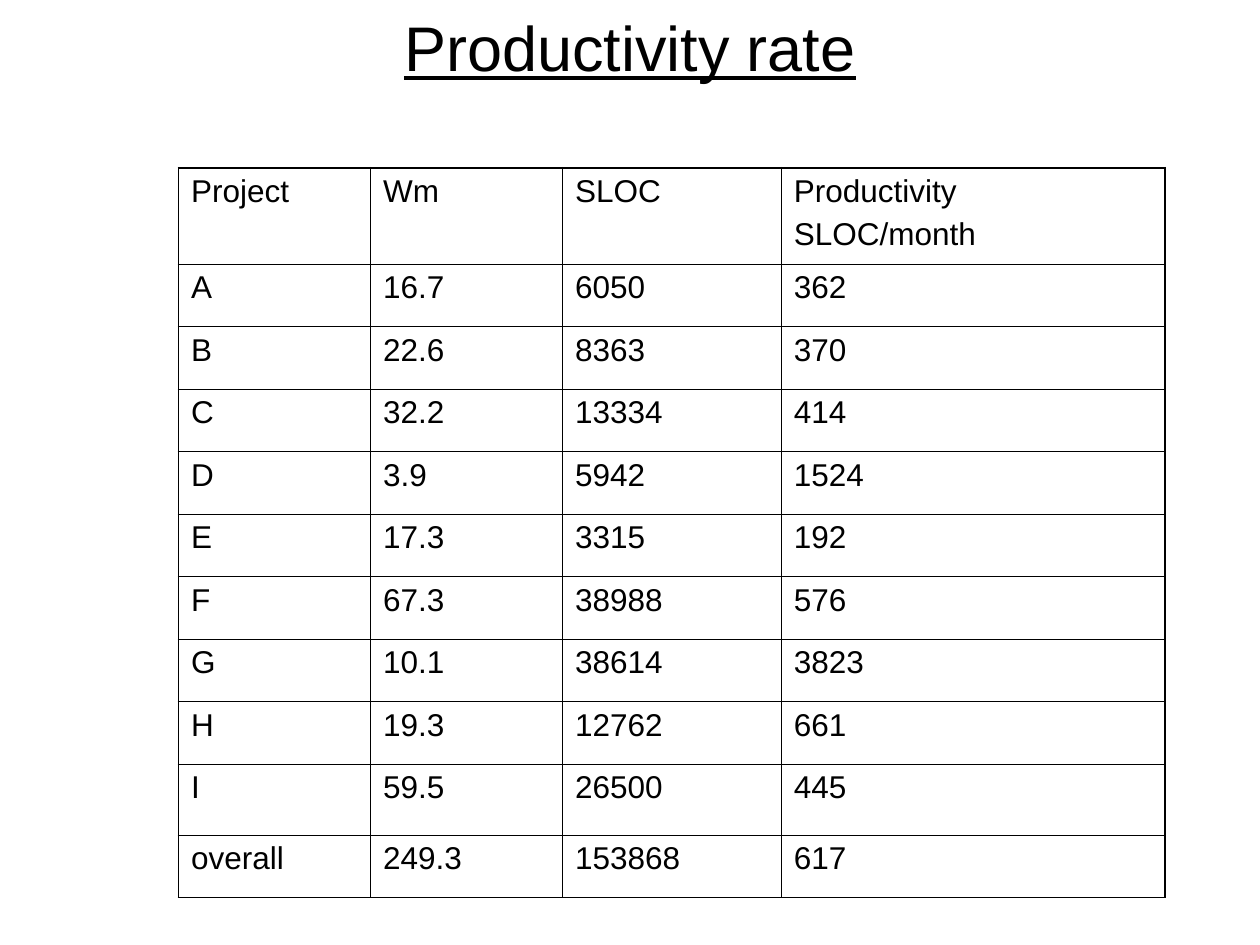
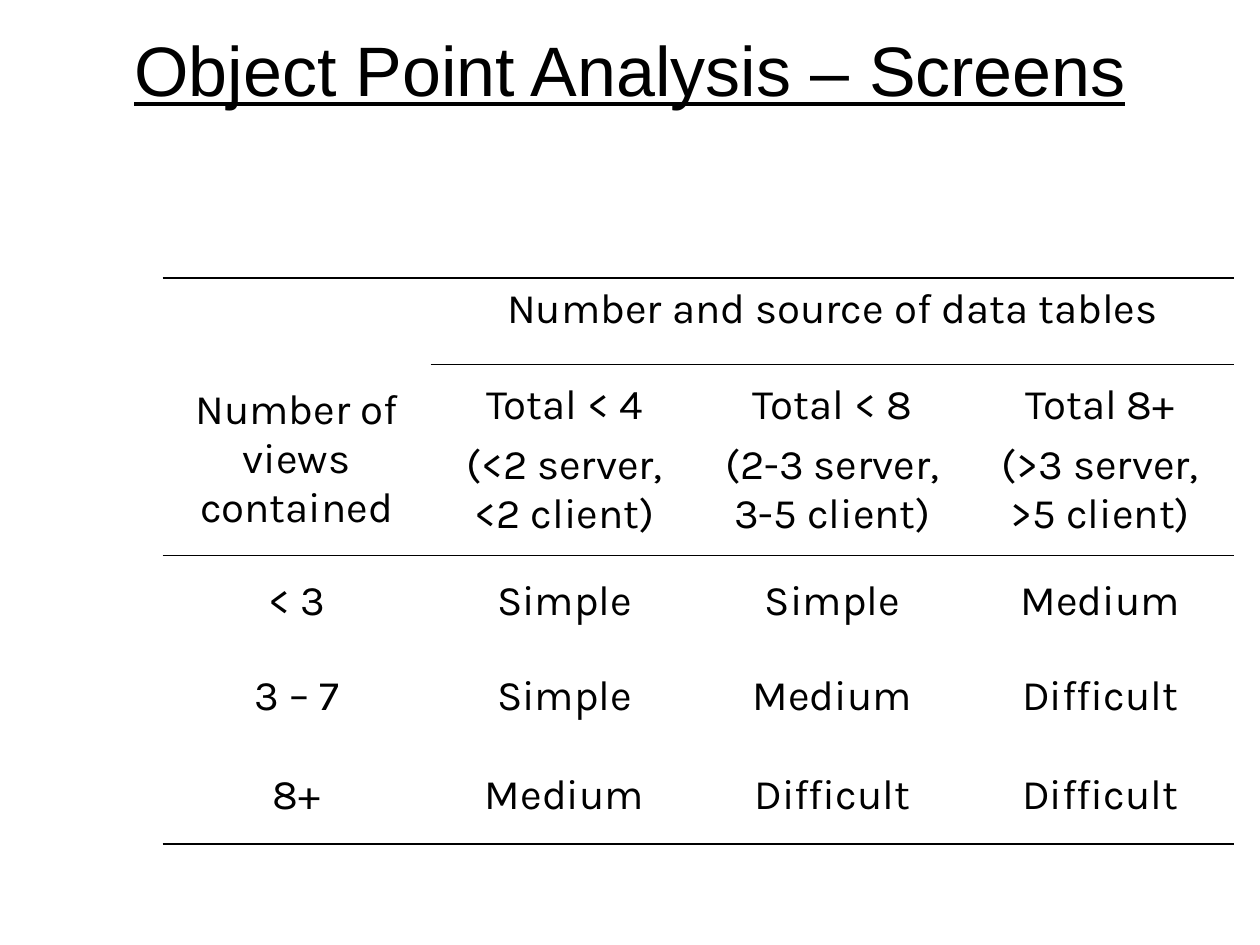
from dataclasses import dataclass
from typing import Callable

from lxml import etree
from pptx import Presentation
from pptx import util as u
from pptx.dml.color import RGBColor
from pptx.enum import text
from pptx.oxml.ns import qn

BLACK = RGBColor(0x00, 0x00, 0x00)
TITLE_FONT = "Arial"
THICK, THIN = 1.08, 0.45  # rule widths in points

# Cell sides mapped to border widths; sides left out have no line
Borders = dict[str, float]


@dataclass
class Title:
    wording: str
    height: float
    size: int


@dataclass
class Grid:
    left: float
    top: float
    columns: list[float]
    heights: list[float]
    rows: list[list[str]]
    font: str
    size: int
    gap: float
    align: text.PP_ALIGN
    body_anchor: text.MSO_ANCHOR
    borders: Callable[[int, int], Borders]
    merges: tuple[tuple[int, int, int, int], ...] = ()


def boxed(row: int, col: int) -> Borders:
    """Thin lines everywhere, thick ones round the outside."""
    return {
        "L": THICK if col == 0 else THIN,
        "R": THICK if col == 3 else THIN,
        "T": THICK if row == 0 else THIN,
        "B": THICK if row == 10 else THIN,
    }


def ruled(row: int, col: int) -> Borders:
    """Horizontal rules only; the first runs under the spanning heading."""
    rules = {0: THICK, 2: THIN, 5: THICK}
    if col > 0:
        rules[1] = THIN
    sides = {"T": row, "B": row + 1}
    return {side: rules[edge] for side, edge in sides.items() if edge in rules}


def style_paragraph(paragraph, align: text.PP_ALIGN, **font_values) -> None:
    paragraph.alignment = align
    for name, value in font_values.items():
        setattr(paragraph.font, name, value)
    paragraph.font.color.rgb = BLACK


def draw_borders(cell, borders: Borders) -> None:
    properties = cell._tc.get_or_add_tcPr()
    for position, side in enumerate("LRTB"):
        line = etree.Element(qn(f"a:ln{side}"))
        if side in borders:
            line.set("w", str(u.Pt(borders[side])))
            fill = etree.SubElement(line, qn("a:solidFill"))
            etree.SubElement(fill, qn("a:srgbClr"), val=str(BLACK))
        else:
            etree.SubElement(line, qn("a:noFill"))
        properties.insert(position, line)


def draw_title(slide, title: Title) -> None:
    heading = slide.shapes.add_textbox(
        u.Cm(1.27), u.Cm(0.23), u.Cm(22.86), u.Cm(title.height))
    frame = heading.text_frame
    frame_format = {
        "word_wrap": True,
        "vertical_anchor": text.MSO_ANCHOR.MIDDLE,
        "margin_top": u.Cm(0.2),
        "margin_bottom": 0,
    }
    for name, value in frame_format.items():
        setattr(frame, name, value)
    frame.text = title.wording
    style_paragraph(frame.paragraphs[0], text.PP_ALIGN.CENTER,
                    name=TITLE_FONT, size=u.Pt(title.size), underline=True)


def draw_grid(slide, grid: Grid) -> None:
    table = slide.shapes.add_table(
        len(grid.heights), len(grid.columns), u.Cm(grid.left), u.Cm(grid.top),
        u.Cm(sum(grid.columns)), u.Cm(sum(grid.heights))).table
    table.first_row = table.horz_banding = False
    for column, width in zip(table.columns, grid.columns):
        column.width = u.Cm(width)
    for row, height in zip(table.rows, grid.heights):
        row.height = u.Cm(height)
    for top, left, bottom, right in grid.merges:
        table.cell(top, left).merge(table.cell(bottom, right))

    for r, entries in enumerate(grid.rows):
        for c, entry in enumerate(entries):
            cell = table.cell(r, c)
            cell.fill.background()
            draw_borders(cell, grid.borders(r, c))
            cell.vertical_anchor = grid.body_anchor if r else text.MSO_ANCHOR.TOP
            cell.text = entry
            for p, paragraph in enumerate(cell.text_frame.paragraphs):
                style_paragraph(paragraph, grid.align,
                                name=grid.font, size=u.Pt(grid.size))
                if p:
                    paragraph.space_before = u.Pt(grid.gap)


# Productivity of each project
PRODUCTIVITY = Grid(
    left=3.6, top=3.38,
    columns=[3.87, 3.87, 4.41, 7.74],
    heights=[1.94] + [1.26] * 8 + [1.43, 1.26],
    rows=[
        ["Project", "Wm", "SLOC", "Productivity\nSLOC/month"],
        ["A", "16.7", "6050", "362"],
        ["B", "22.6", "8363", "370"],
        ["C", "32.2", "13334", "414"],
        ["D", "3.9", "5942", "1524"],
        ["E", "17.3", "3315", "192"],
        ["F", "67.3", "38988", "576"],
        ["G", "10.1", "38614", "3823"],
        ["H", "19.3", "12762", "661"],
        ["I", "59.5", "26500", "445"],
        ["overall", "249.3", "153868", "617"],
    ],
    font="Arial", size=18, gap=4.5,
    align=text.PP_ALIGN.LEFT, body_anchor=text.MSO_ANCHOR.TOP, borders=boxed,
)

# Screen complexity by views and data tables
SCREENS = Grid(
    left=3.28, top=5.61,
    columns=[5.4] * 4,
    heights=[1.73, 3.86, 1.86, 1.98, 1.98],
    rows=[
        ["", "Number and source of data tables", "", ""],
        ["Number of views contained", "Total < 4\n(<2 server, <2 client)",
         "Total < 8\n(2-3 server, 3-5 client)", "Total 8+\n(>3 server, >5 client)"],
        ["< 3", "Simple", "Simple", "Medium"],
        ["3 – 7", "Simple", "Medium", "Difficult"],
        ["8+", "Medium", "Difficult", "Difficult"],
    ],
    font="Karla", size=24, gap=6,
    align=text.PP_ALIGN.CENTER, body_anchor=text.MSO_ANCHOR.MIDDLE, borders=ruled,
    merges=((0, 1, 0, 3),),
)

SLIDES = [
    (Title("Productivity rate", height=1.19, size=36), PRODUCTIVITY),
    (Title("Object Point Analysis – Screens", height=2.11, size=40), SCREENS),
]


def main() -> None:
    deck = Presentation()
    deck.slide_width, deck.slide_height = u.Cm(25.4), u.Cm(19.05)
    blank = deck.slide_layouts[6]
    for title, grid in SLIDES:
        slide = deck.slides.add_slide(blank)
        draw_title(slide, title)
        draw_grid(slide, grid)
    deck.save("out.pptx")


if __name__ == "__main__":
    main()
